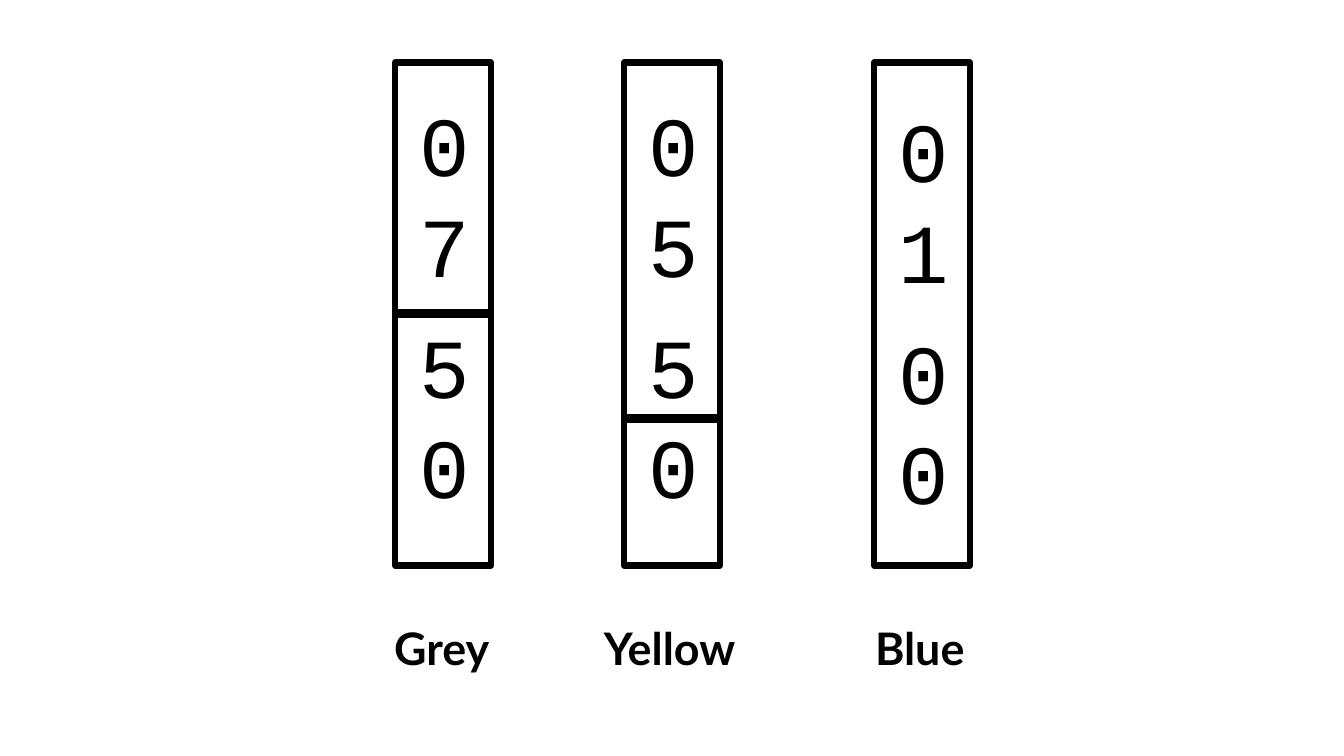
"""Build a slide of three number strips labelled Grey, Yellow and Blue."""
from pptx import Presentation
from pptx.dml.color import RGBColor
from pptx.enum import shapes, text
from pptx.util import Inches, Pt

theme = {
    "ink": RGBColor(0, 0, 0),
    "edge": Pt(4.5),
    "bar": Pt(6),
    "digit": {"name": "Courier New", "size": Pt(60), "bold": False},
    "label": {"name": "Lato", "size": Pt(32), "bold": True},
    "pitch": Pt(71.5),
    "gap": Pt(15.5),
}
top, wide, tall = 0.62, 0.95, 4.99
strips = [
    {"name": "Grey", "left": 3.92, "digits": "0750", "top": 0.88,
     "bar": 3.11, "label": (3.81, 1.15)},
    {"name": "Yellow", "left": 6.19, "digits": "0550", "top": 0.88,
     "bar": 4.15, "label": (5.89, 1.54)},
    {"name": "Blue", "left": 8.67, "digits": "0100", "top": 0.94,
     "bar": None, "label": (8.58, 1.12)},
]

deck = Presentation()
deck.slide_width, deck.slide_height = Inches(13.33), Inches(7.5)
slide = deck.slides.add_slide(deck.slide_layouts[6])


def write(left, top, wide, tall, lines, style):
    """Add a text box with one paragraph per line."""
    box = slide.shapes.add_textbox(*map(Inches, (left, top, wide, tall)))
    frame = box.text_frame
    frame.word_wrap = False
    frame.auto_size = text.MSO_AUTO_SIZE.SHAPE_TO_FIT_TEXT
    frame.text = "\n".join(lines)
    for para in frame.paragraphs:
        for key, value in theme[style].items():
            setattr(para.font, key, value)
        para.font.color.rgb = theme["ink"]
    return frame.paragraphs


for strip in strips:
    left = strip["left"]
    rect = slide.shapes.add_shape(
        shapes.MSO_SHAPE.RECTANGLE, *map(Inches, (left, top, wide, tall)))
    rect.shadow.inherit = False
    rect.fill.background()
    rect.line.color.rgb = theme["ink"]
    rect.line.width = theme["edge"]

    if strip["bar"]:
        ends = (left, strip["bar"], left + wide, strip["bar"])
        bar = slide.shapes.add_connector(
            shapes.MSO_CONNECTOR.STRAIGHT, *map(Inches, ends))
        bar.line.color.rgb = theme["ink"]
        bar.line.width = theme["bar"]
        props = bar.element.spPr
        props.append(props.makeelement(
            "{http://schemas.openxmlformats.org/drawingml/2006/main}effectLst", {}))
        if strip["bar"] == round(top + tall / 2, 2):
            bar.begin_connect(rect, 1)
            bar.end_connect(rect, 3)

    start, span = strip["label"]
    write(start, 6.11, span, 0.64, [strip["name"]], "label")
    paras = write(left + 0.14, strip["top"], 0.66, 4.34, strip["digits"], "digit")
    for para in paras:
        para.line_spacing = theme["pitch"]
    paras[2].space_before = theme["gap"]

deck.save("out.pptx")
